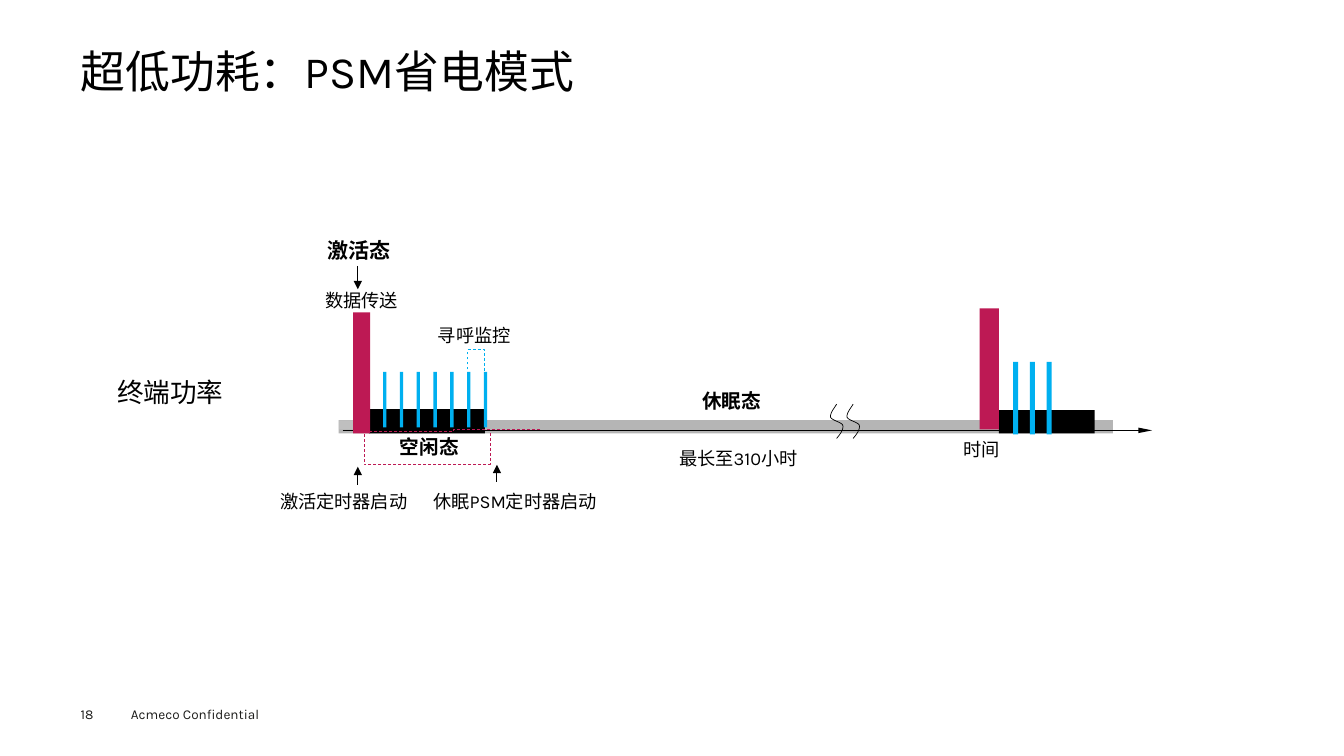
import pptx
import pptx.util
import pptx.dml.color
import pptx.enum.dml
import pptx.enum.shapes
import pptx.enum.text
import pptx.oxml
import lxml.etree

Pt = pptx.util.Pt
color = pptx.dml.color.RGBColor.from_string
LEFT = pptx.enum.text.PP_ALIGN.LEFT
CENTER = pptx.enum.text.PP_ALIGN.CENTER
BLACK, RED, BLUE = "000000", "BD1954", "00B0F0"
qn = pptx.oxml.ns.qn

presentation = pptx.Presentation()
presentation.slide_width = Pt(960)
presentation.slide_height = Pt(540)
slide = presentation.slides.add_slide(presentation.slide_layouts[5])


def write(shape, box, text, size, hex_color, bold, align, inset, wrap):
    shape.left, shape.top, shape.width, shape.height = [Pt(value) for value in box]
    frame = shape.text_frame
    frame.text = text
    frame.word_wrap = wrap
    frame.auto_size = pptx.enum.text.MSO_AUTO_SIZE.NONE
    frame.vertical_anchor = pptx.enum.text.MSO_ANCHOR.TOP
    frame.margin_left = frame.margin_right = Pt(inset)
    frame.margin_top = frame.margin_bottom = Pt(inset / 2)
    paragraph = frame.paragraphs[0]
    paragraph.alignment = align
    font = paragraph.runs[0].font
    font.name = "Karla"
    font.size = Pt(size)
    font.bold = bold
    font.color.rgb = color(hex_color)


def draw_path(points, hex_color, dash):
    corners = [(Pt(x), Pt(y)) for x, y in points]
    builder = slide.shapes.build_freeform(*corners[0])
    builder.add_line_segments(corners[1:], close=False)
    shape = builder.convert_to_shape()
    shape.shadow.inherit = False
    shape.fill.background()
    shape.line.color.rgb = color(hex_color)
    shape.line.width = Pt(0.5)
    shape.line.dash_style = dash


title = slide.shapes.title
write(title, (57.6, 35.3, 844.6, 38.9), "超低功耗：PSM省电模式", 32, BLACK, False, LEFT, 0, True)
title.text_frame.paragraphs[0].line_spacing = 0.9

arrows = [
    (244.8, 307.4, 823, 307.4, 1, "sm", "lg"),
    (255.6, 190, 255.6, 206.6, 0.75, "med", "med"),
    (355, 344.2, 355, 332, 0.75, "med", "med"),
    (255.6, 346.3, 255.6, 333.4, 0.75, "med", "med"),
]
for x1, y1, x2, y2, weight, head_width, head_length in arrows:
    arrow = slide.shapes.add_connector(
        pptx.enum.shapes.MSO_CONNECTOR.STRAIGHT, Pt(x1), Pt(y1), Pt(x2), Pt(y2))
    arrow.line.color.rgb = color(BLACK)
    arrow.line.width = Pt(weight)
    head = lxml.etree.SubElement(arrow.line._get_or_add_ln(), qn("a:tailEnd"))
    head.set("type", "triangle")
    head.set("w", head_width)
    head.set("len", head_length)
    lxml.etree.SubElement(arrow._element.spPr, qn("a:effectLst"))

sleep_band = (241.9, 300.2, 553, 9.4, BLACK, 29)
band_start = (241.9, 300.2, 15.8, 6.5, "D9D9D9", 29)
idle_blocks = [(263.5, 292.3, 82.8, 17.3, BLACK, 100), (713.5, 293, 68.4, 16.6, BLACK, 100)]
first_pagings = [(273.6 + 12 * i, 265.7, 2.4, 39.6, BLUE, 100) for i in range(7)]
second_pagings = [(723.6 + 12 * i, 258.5, 3.6, 51.8, BLUE, 100) for i in range(3)]
data_bursts = [(252.2, 223.2, 12.2, 86.4, RED, 100), (699.8, 220.3, 13.7, 86.4, RED, 100)]
bars = [sleep_band, band_start] + idle_blocks + first_pagings + second_pagings + data_bursts
for left, top, width, height, hex_color, opacity in bars:
    bar = slide.shapes.add_shape(
        pptx.enum.shapes.MSO_SHAPE.RECTANGLE, Pt(left), Pt(top), Pt(width), Pt(height))
    bar.shadow.inherit = False
    bar.fill.solid()
    bar.fill.fore_color.rgb = color(hex_color)
    bar.line.fill.background()
    if opacity < 100:
        tint = bar._element.spPr.find(qn("a:solidFill"))[0]
        lxml.etree.SubElement(tint, qn("a:alpha")).set("val", str(opacity * 1000))

break_curves = [
    [(4.8, 0), (2.6, 3.6), (0, 6.5), (0.5, 9.4)],
    [(0.5, 9.4), (1.2, 11.5), (8.6, 13), (9.2, 15.1)],
    [(9.2, 15.1), (9.8, 18), (7.8, 20.9), (4.8, 24.5)],
]
for break_left in (592.8, 604.6):
    wave = []
    for curve in break_curves:
        for step in range(13):
            t = step / 12
            weights = [(1 - t) ** 3, 3 * t * (1 - t) ** 2, 3 * t * t * (1 - t), t ** 3]
            x = sum(weight * point[0] for weight, point in zip(weights, curve))
            y = sum(weight * point[1] for weight, point in zip(weights, curve))
            wave.append((break_left + x, 288.7 + y))
    draw_path(wave, BLACK, None)

DASH = pptx.enum.dml.MSO_LINE.DASH
draw_path([(334.1, 267.5), (334.1, 249.8), (346.3, 249.8), (346.3, 267.1)], BLUE, DASH)
draw_path([(385.9, 306.7), (324, 306.7), (324, 308.2), (261.4, 308.2)], RED, DASH)
draw_path([(349.9, 309.6), (349.9, 331.9), (259.9, 331.9), (259.9, 310.3)], RED, DASH)

labels = [
    ((86.4, 500.4, 115.2, 19.4), "Acmeco Confidential", 9.7, "1D1D1B", False, LEFT, 7.2, True),
    ((57.6, 504, 39.6, 11.5), "18", 9.7, "1D1D1B", False, LEFT, 0, True),
    ((682.6, 310.3, 49.7, 20.9), "时间", 13, BLACK, False, LEFT, 5.4, True),
    ((305.3, 228.2, 67, 23), "寻呼监控", 13, BLACK, False, CENTER, 7.2, False),
    ((468.7, 275, 108, 22.3), "休眠态", 14, BLACK, True, CENTER, 5.4, True),
    ((66.2, 265.7, 110.9, 28.8), "终端功率", 19, BLACK, False, CENTER, 5.4, True),
    ((193, 346.3, 105.8, 23), "激活定时器启动", 13, BLACK, False, LEFT, 7.2, True),
    ((226.8, 203.8, 64.1, 20.9), "数据传送", 13, BLACK, False, LEFT, 5.4, True),
    ((272.2, 308.2, 69.1, 22.3), "空闲态", 14, BLACK, True, CENTER, 5.4, True),
    ((475.2, 315.4, 104.4, 23.8), "最长至310小时", 13, BLACK, False, CENTER, 7.9, True),
    ((302.4, 346.3, 141.8, 23), "休眠PSM定时器启动", 13, BLACK, False, LEFT, 7.2, True),
    ((202.3, 167, 108, 23.8), "激活态", 15, BLACK, True, CENTER, 5.4, True),
]
for label in labels:
    write(slide.shapes.add_textbox(0, 0, 0, 0), *label)

presentation.save("out.pptx")
